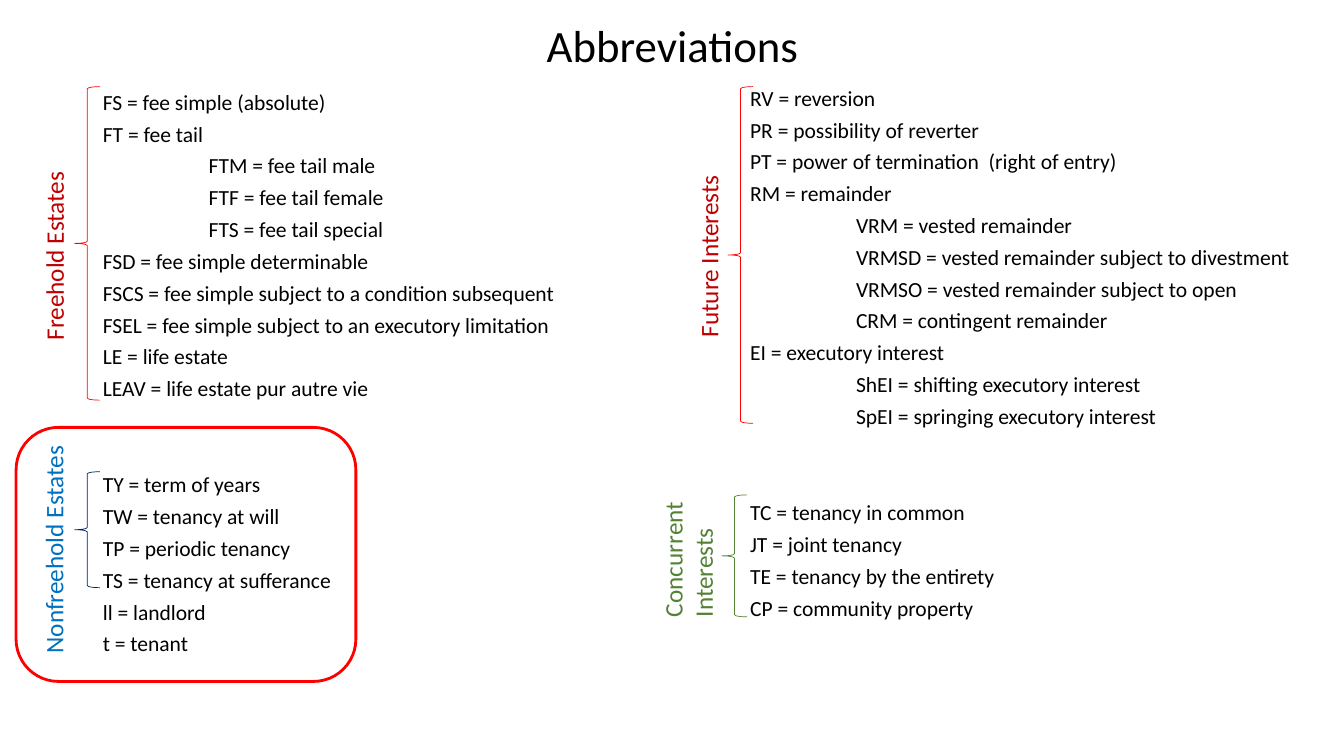
from lxml.etree import SubElement
from pptx import Presentation
from pptx.dml.color import RGBColor
from pptx.enum.shapes import MSO_SHAPE
from pptx.enum.text import MSO_ANCHOR, MSO_AUTO_SIZE, PP_ALIGN
from pptx.oxml.ns import qn
from pptx.util import Inches, Pt

COLORS = {
    "text": "000000",
    "bracket": "FF0000",
    "estate": "C00000",
    "nonfreehold": "0070C0",
    "nonfreehold_brace": "002060",
    "concurrent": "548235",
}

# Each column is a list of groups; each entry is (indent level, text).
ESTATES = [
    [
        (0, "FS = fee simple (absolute)"),
        (0, "FT = fee tail"),
        (1, "FTM = fee tail male"),
        (1, "FTF = fee tail female"),
        (1, "FTS = fee tail special"),
        (0, "FSD = fee simple determinable"),
        (0, "FSCS = fee simple subject to a condition subsequent"),
        (0, "FSEL = fee simple subject to an executory limitation"),
        (0, "LE = life estate"),
        (0, "LEAV = life estate pur autre vie"),
    ],
    [
        (0, "TY = term of years"),
        (0, "TW = tenancy at will"),
        (0, "TP = periodic tenancy"),
        (0, "TS = tenancy at sufferance"),
        (0, "ll = landlord"),
        (0, "t = tenant"),
    ],
]
INTERESTS = [
    [
        (0, "RV = reversion"),
        (0, "PR = possibility of reverter"),
        (0, "PT = power of termination  (right of entry)"),
        (0, "RM = remainder"),
        (1, "VRM = vested remainder"),
        (1, "VRMSD = vested remainder subject to divestment"),
        (1, "VRMSO = vested remainder subject to open"),
        (1, "CRM = contingent remainder"),
        (0, "EI = executory interest"),
        (1, "ShEI = shifting executory interest"),
        (1, "SpEI = springing executory interest"),
    ],
    [
        (0, "TC = tenancy in common"),
        (0, "JT = joint tenancy"),
        (0, "TE = tenancy by the entirety"),
        (0, "CP = community property"),
    ],
]


class SlideBuilder:
    font_name = "Calibri"
    title_size, list_size, label_size = Pt(32), Pt(15.4), Pt(18)
    entry_gap, group_gap = Pt(9.8), Pt(55.7)
    indent = Inches(1.05)

    def __init__(self, slide):
        self.slide = slide

    def place(self, shape, box):
        shape.left, shape.top, shape.width, shape.height = map(Inches, box)

    def format_font(self, paragraph, size, color):
        paragraph.font.name = self.font_name
        paragraph.font.size = size
        paragraph.font.color.rgb = RGBColor.from_string(COLORS[color])

    def title(self, text, box):
        title = self.slide.shapes.title
        self.place(title, box)
        title.text_frame.text = text
        title.text_frame.vertical_anchor = MSO_ANCHOR.MIDDLE
        paragraph = title.text_frame.paragraphs[0]
        paragraph.alignment = PP_ALIGN.CENTER
        paragraph.line_spacing = 0.9
        self.format_font(paragraph, self.title_size, "text")

    def abbreviation_list(self, placeholder_index, groups, box):
        placeholder = self.slide.placeholders[placeholder_index]
        self.place(placeholder, box)
        frame = placeholder.text_frame
        frame.auto_size = MSO_AUTO_SIZE.NONE
        entries = [entry for group in groups for entry in group]
        group_starts = {id(group[0]) for group in groups[1:]}
        frame.text = "\n".join(text for _, text in entries)
        for paragraph, entry in zip(frame.paragraphs, entries):
            starts_group = id(entry) in group_starts
            paragraph.space_before = self.group_gap if starts_group else self.entry_gap
            paragraph.line_spacing = 0.7
            self.format_font(paragraph, self.list_size, "text")
            properties = paragraph._p.get_or_add_pPr()
            properties.set("marL", str(entry[0] * self.indent))
            properties.set("indent", "0")
            SubElement(properties, qn("a:buNone")) if properties.find(
                qn("a:defRPr")
            ) is None else properties.find(qn("a:defRPr")).addprevious(
                SubElement(properties, qn("a:buNone"))
            )

    def outline(self, shape_type, box, color, line_width):
        shape = self.slide.shapes.add_shape(shape_type, *map(Inches, box))
        shape.shadow.inherit = False
        shape.fill.background()
        shape.line.color.rgb = RGBColor.from_string(COLORS[color])
        shape.line.width = Pt(line_width)

    def vertical_label(self, text, box, color):
        label = self.slide.shapes.add_textbox(*map(Inches, box))
        label.rotation = 270
        frame = label.text_frame
        frame.word_wrap = False
        frame.auto_size = MSO_AUTO_SIZE.SHAPE_TO_FIT_TEXT
        frame.text = text
        for paragraph in frame.paragraphs:
            self.format_font(paragraph, self.label_size, color)


def main():
    presentation = Presentation()
    presentation.slide_width = Inches(13.33)
    presentation.slide_height = Inches(7.5)
    two_content_layout = presentation.slide_layouts[3]
    builder = SlideBuilder(presentation.slides.add_slide(two_content_layout))

    builder.title("Abbreviations", (0.92, 0.1, 11.5, 0.76))
    builder.abbreviation_list(1, ESTATES, (0.92, 0.9, 5.67, 5.85))
    builder.abbreviation_list(2, INTERESTS, (7.34, 0.86, 5.67, 6.26))

    for left, top, height, color in [
        (0.74, 0.86, 3.11, "bracket"),
        (7.22, 0.86, 3.34, "bracket"),
        (0.74, 4.68, 1.15, "nonfreehold_brace"),
        (7.16, 4.91, 1.21, "concurrent"),
    ]:
        builder.outline(MSO_SHAPE.LEFT_BRACE, (left, top, 0.25, height), color, 0.5)

    for text, box, color in [
        ("Freehold Estates", (-0.41, 2.33, 1.89, 0.4), "estate"),
        ("Nonfreehold Estates", (-0.61, 5.24, 2.28, 0.4), "nonfreehold"),
        ("Future Interests", (6.11, 2.33, 1.83, 0.4), "estate"),
        ("Concurrent\nInterests", (6.12, 5.16, 1.41, 0.71), "concurrent"),
    ]:
        builder.vertical_label(text, box, color)

    builder.outline(MSO_SHAPE.ROUNDED_RECTANGLE, (0.16, 4.24, 3.37, 2.52), "bracket", 2)
    presentation.save("out.pptx")


if __name__ == "__main__":
    main()
